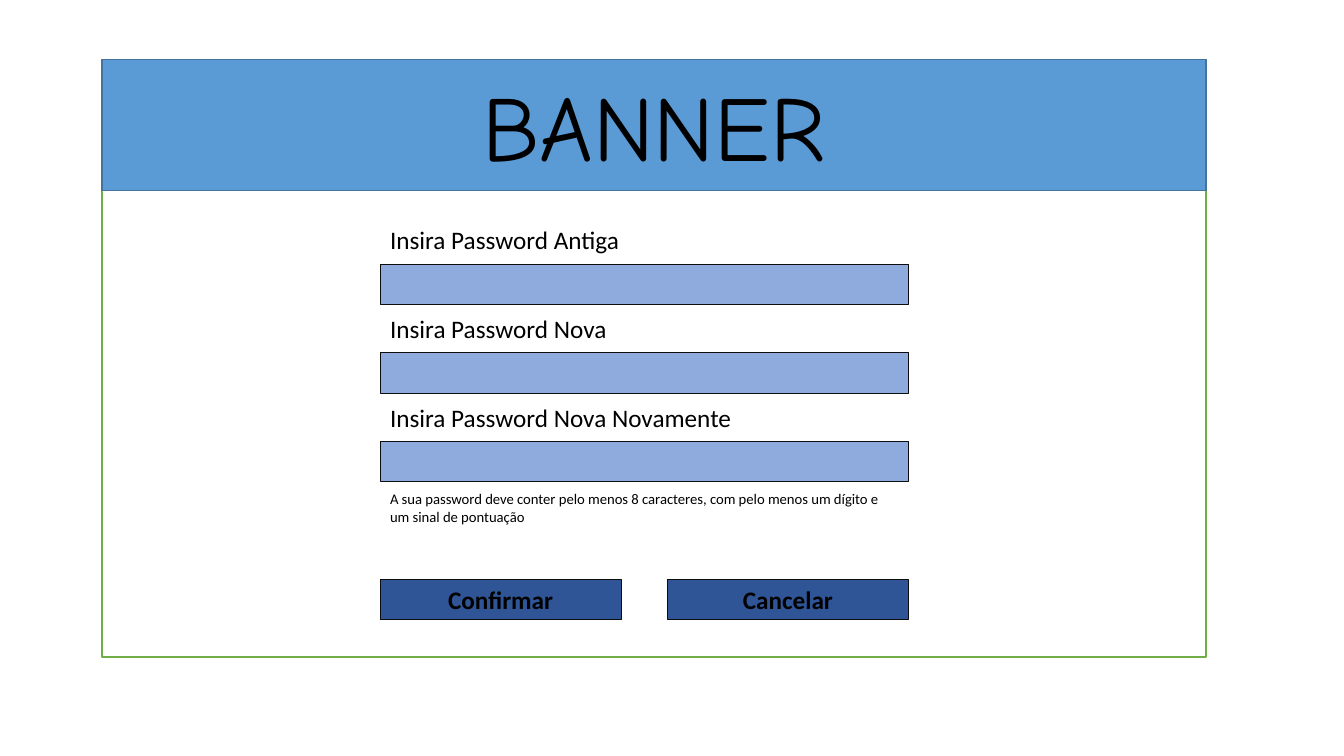
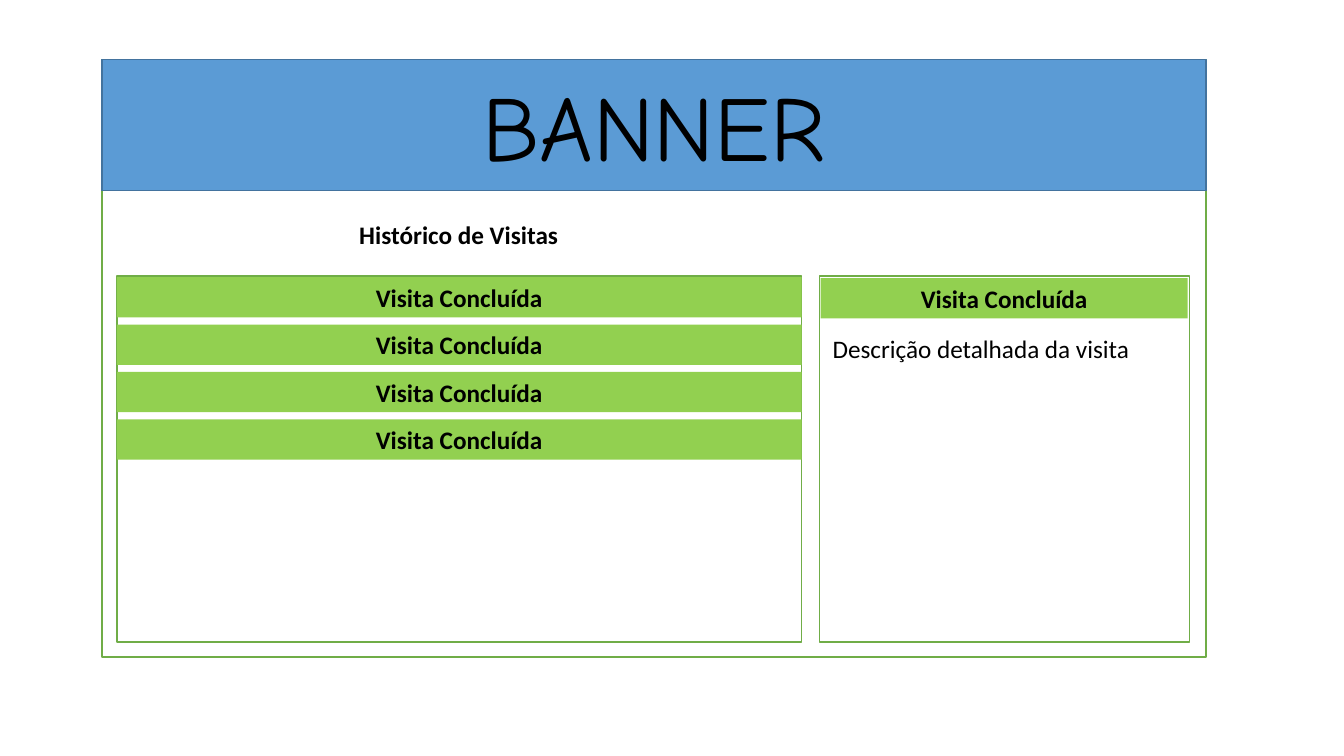
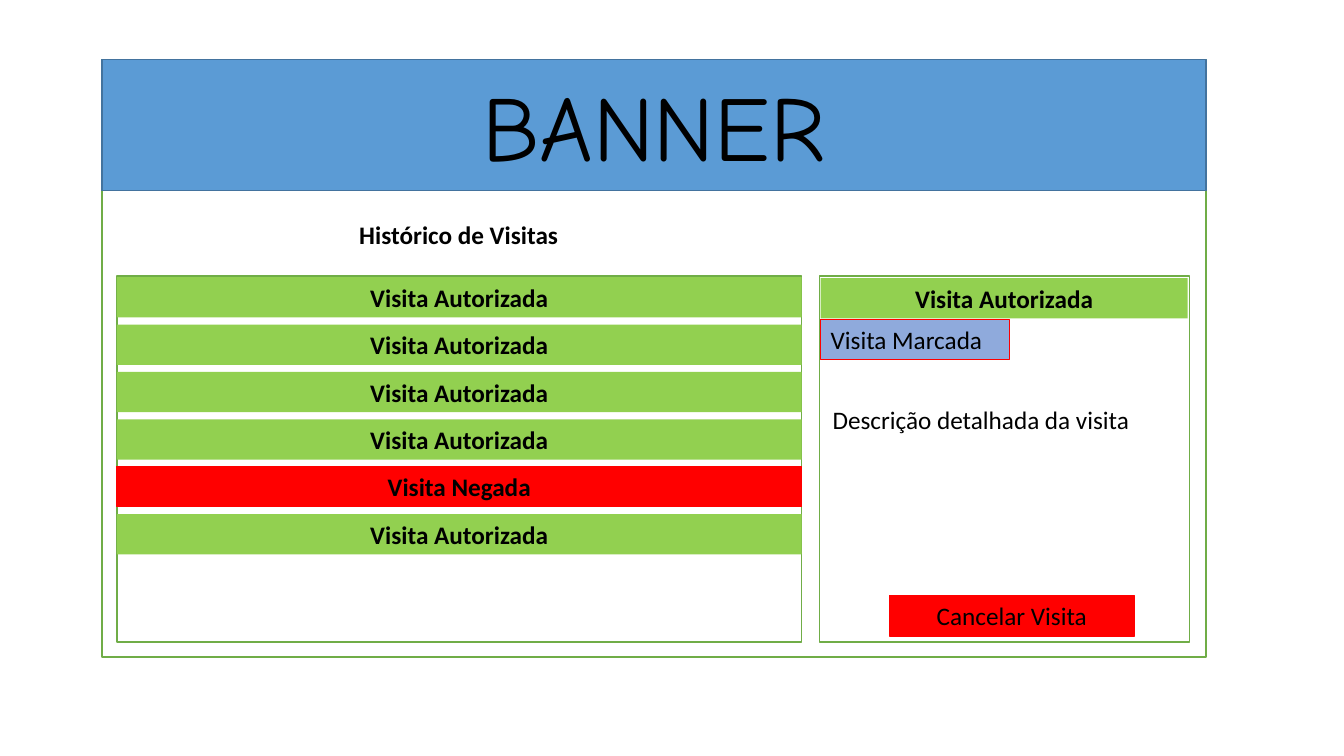
import pptx
import pptx.dml.color
import pptx.enum.shapes
import pptx.enum.text
import pptx.util

Inches = pptx.util.Inches
Pt = pptx.util.Pt
ALIGN = pptx.enum.text.PP_ALIGN
ANCHOR = pptx.enum.text.MSO_ANCHOR

WHITE, BLACK, RED = "FFFFFF", "000000", "FF0000"
GREEN, GREEN_EDGE = "92D050", "70AD47"
BANNER_BLUE, BANNER_EDGE = "5B9BD5", "43739E"
FIELD_BLUE, BUTTON_BLUE, FIELD_EDGE = "8FAADC", "2F5597", "0D0D0D"

FRAME = (1.01, 0.59, 10.95, 5.93)
BANNER_HEIGHT = 1.3
CONTENT = (1.01, 1.89, 10.95, 4.63)
BAR_HEIGHT = 0.4
ROW_PITCH = 0.47
FIELD_PITCH = 0.88

BODY_FONT = {"name": "Calibri", "size": Pt(18), "bold": False}
STRONG_FONT = {**BODY_FONT, "bold": True}
NOTE_FONT = {**BODY_FONT, "size": Pt(10.5)}
BANNER_FONT = {"name": "Comic Neue", "size": Pt(66), "bold": False}


def rgb(hex_color):
    return pptx.dml.color.RGBColor.from_string(hex_color)


def lengths(box):
    return [Inches(length) for length in box]


def write(shape, text, font, align, anchor=ANCHOR.TOP):
    frame = shape.text_frame
    frame.text = text
    frame.word_wrap = True
    frame.auto_size = pptx.enum.text.MSO_AUTO_SIZE.NONE
    frame.vertical_anchor = anchor
    paragraph = frame.paragraphs[0]
    paragraph.alignment = align
    for attribute, value in font.items():
        setattr(paragraph.font, attribute, value)
    paragraph.font.color.rgb = rgb(BLACK)


def add_box(slide, box, fill, edge=None, weight=1):
    shape = slide.shapes.add_shape(
        pptx.enum.shapes.MSO_SHAPE.RECTANGLE, *lengths(box))
    shape.shadow.inherit = False
    shape.fill.solid()
    shape.fill.fore_color.rgb = rgb(fill)
    if edge:
        shape.line.color.rgb = rgb(edge)
        shape.line.width = Pt(weight)
    else:
        shape.line.fill.background()
    return shape


def add_bar(slide, box, text, fill, edge=None, weight=0.75,
            font=STRONG_FONT, align=ALIGN.CENTER):
    """Add a filled bar with one line of text."""
    write(add_box(slide, box, fill, edge, weight), text, font, align,
          ANCHOR.MIDDLE)


def add_text(slide, box, text, font=BODY_FONT, align=ALIGN.LEFT):
    write(slide.shapes.add_textbox(*lengths(box)), text, font, align)


def add_screen(deck):
    """Add a slide with the framed page and its banner title."""
    slide = deck.slides.add_slide(deck.slide_layouts.get_by_name("Title Only"))
    left, top, width, height = FRAME
    add_box(slide, FRAME, WHITE, GREEN_EDGE)
    add_box(slide, (left, top, width, BANNER_HEIGHT), BANNER_BLUE, BANNER_EDGE)
    title = slide.shapes.title
    title.left, title.top, title.width, title.height = lengths(
        (left + 3.14, top + 0.05, 4.67, 1.21))
    write(title, "BANNER", BANNER_FONT, ALIGN.CENTER)
    # The title placeholder has to lie in front of the banner.
    title.element.getparent().append(title.element)
    return slide


def add_password_form(slide, box):
    left, top, width = box[0] + 2.76, box[1] + 0.29, 5.24
    labels = [("Insira Password Antiga", 2.6),
              ("Insira Password Nova", 2.39),
              ("Insira Password Nova Novamente", 3.73)]
    for index, (label, label_width) in enumerate(labels):
        label_top = top + index * FIELD_PITCH
        add_text(slide, (left, label_top, label_width, BAR_HEIGHT), label)
        add_box(slide, (left, label_top + 0.44, width, BAR_HEIGHT),
                FIELD_BLUE, FIELD_EDGE, 0.75)
    add_text(slide, (left, top + 2.63, width, 0.47),
             "A sua password deve conter pelo menos 8 caracteres, "
             "com pelo menos um dígito e um sinal de pontuação", NOTE_FONT)
    button_width = 2.39
    for button_left, caption in ((left, "Confirmar"),
                                 (left + width - button_width, "Cancelar")):
        add_bar(slide, (button_left, top + 3.57, button_width, BAR_HEIGHT),
                caption, BUTTON_BLUE, FIELD_EDGE)


def add_visit_list(slide, box, visits):
    left, top, width, _ = box
    add_text(slide, (left + 0.55, top - 0.61, 5.68, BAR_HEIGHT),
             "Histórico de Visitas", STRONG_FONT, ALIGN.CENTER)
    add_box(slide, box, WHITE, GREEN_EDGE)
    for index, visit in enumerate(visits):
        denied = visit == "Visita Negada"
        row = (left, top + 0.01 + index * ROW_PITCH, width, BAR_HEIGHT)
        add_bar(slide, row, visit, RED if denied else GREEN,
                RED if denied else None)


def add_visit_detail(slide, box, visit, booked):
    """Add the detail panel; a booked visit has a tag and a cancel button."""
    left, top, width, _ = box
    add_box(slide, box, WHITE, GREEN_EDGE)
    add_bar(slide, (left + 0.01, top + 0.02, 3.64, BAR_HEIGHT), visit, GREEN)
    add_text(slide, (left + 0.03, top + (1.22 if booked else 0.52),
                     3.64, BAR_HEIGHT), "Descrição detalhada da visita")
    if booked:
        add_bar(slide, (left + 0.01, top + 0.43, 1.87, BAR_HEIGHT),
                "Visita Marcada", FIELD_BLUE, RED, font=BODY_FONT,
                align=ALIGN.LEFT)
        add_bar(slide, (left + 0.69, top + 3.17, 2.43, BAR_HEIGHT),
                "Cancelar Visita", RED, RED, 1, BODY_FONT)


def add_history(slide, box, visits, booked=False):
    left, top, height = box[0], box[1] + 0.85, 3.63
    add_visit_list(slide, (left + 0.15, top, 6.79, height), visits)
    add_visit_detail(slide, (left + 7.12, top, 3.67, height), visits[0], booked)


def main():
    deck = pptx.Presentation()
    deck.slide_width, deck.slide_height = Inches(13.33), Inches(7.5)
    add_password_form(add_screen(deck), CONTENT)
    add_history(add_screen(deck), CONTENT, ["Visita Concluída"] * 4)
    add_history(add_screen(deck), CONTENT,
                ["Visita Autorizada"] * 4
                + ["Visita Negada", "Visita Autorizada"], booked=True)
    deck.save("out.pptx")


if __name__ == "__main__":
    main()
